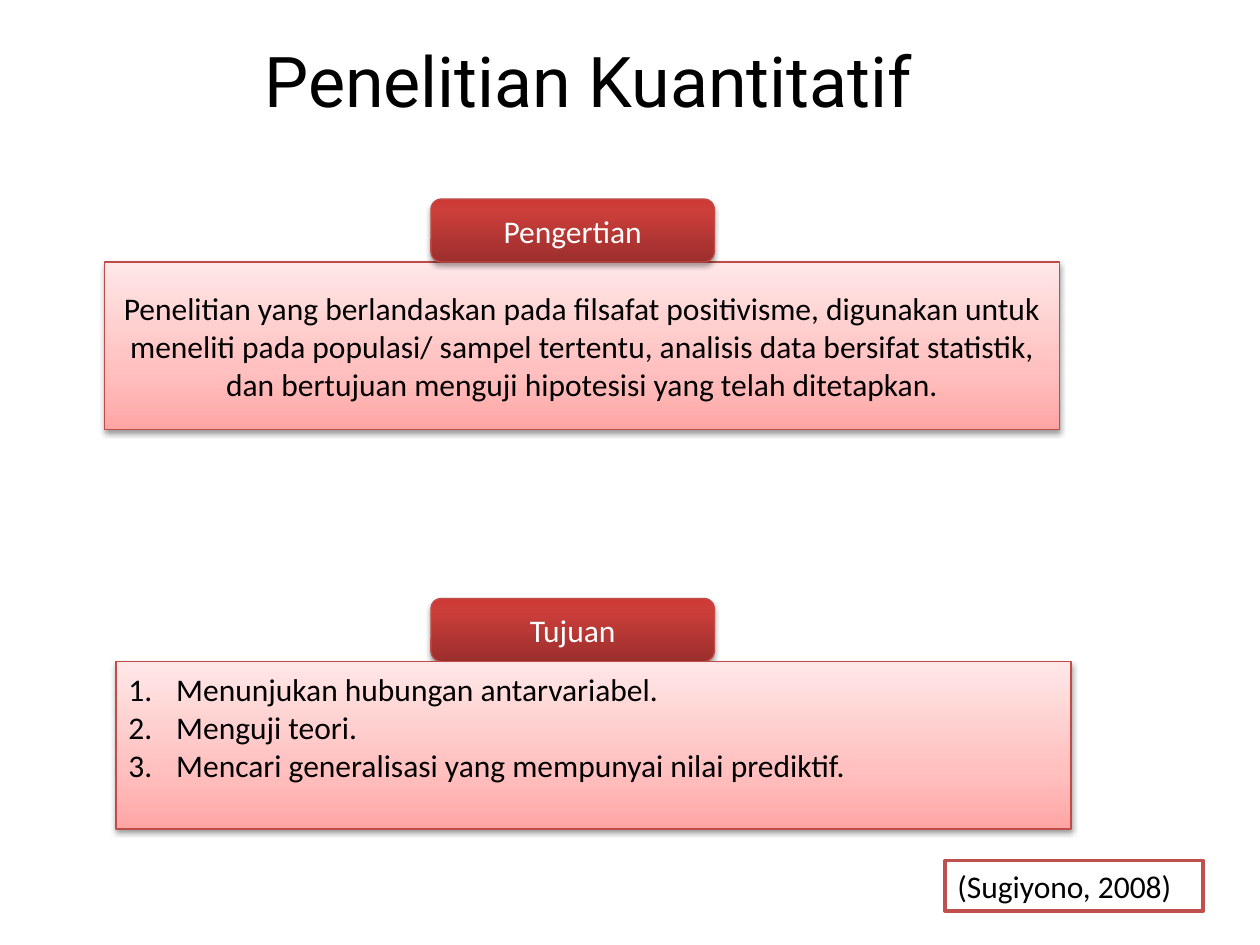
"""Build a slide on the meaning and aims of quantitative research."""
from lxml.etree import SubElement as Sub
from pptx import Presentation
from pptx.dml.color import RGBColor as RGB
from pptx.enum.shapes import MSO_SHAPE as Shape
from pptx.enum.text import MSO_ANCHOR as Anchor, MSO_AUTO_SIZE as Auto, PP_ALIGN as Align
from pptx.oxml.ns import qn
from pptx.util import Inches, Pt

HEX = {"black": "000000", "white": "FFFFFF", "edge": "BF4C48", "frame": "C0504D"}
BODY = {
    "kind": Shape.RECTANGLE, "size": (7.58, 1.33), "ink": "black",
    "stops": [(0, "FFA6A5"), (35, "FFC0BF"), (100, "FFE7E7")],
    "alpha": 38, "drop": 1.6,
}
TAB = {
    "kind": Shape.ROUNDED_RECTANGLE, "size": (2.25, 0.5), "ink": "white",
    "stops": [(0, "9C2F2D"), (80, "CB3E3A"), (100, "CE3B37")],
    "alpha": 35, "drop": 1.8,
}
TITLE = "Penelitian Kuantitatif"
CITE = "(Sugiyono, 2008)"
MEANING = (
    "Penelitian yang berlandaskan pada filsafat positivisme, digunakan untuk "
    "meneliti pada populasi/ sampel tertentu, analisis data bersifat statistik, "
    "dan bertujuan menguji hipotesisi yang telah ditetapkan."
)
AIMS = [
    "Menunjukan hubungan antarvariabel.",
    "Menguji teori.",
    "Mencari generalisasi yang mempunyai nilai prediktif.",
]
PANELS = [
    (BODY, 0.83, 2.08, [MEANING]),
    (TAB, 3.42, 4.75, ["Tujuan"]),
    (BODY, 0.92, 5.25, AIMS),
    (TAB, 3.42, 1.58, ["Pengertian"]),
]


def color(name):
    return RGB.from_string(HEX[name])


def style(para, face, size, ink):
    para.font.name = face
    para.font.size = Pt(size)
    para.font.color.rgb = color(ink)


def number(para):
    props = para._p.get_or_add_pPr()
    props.set("marL", str(Inches(0.38)))
    props.set("indent", str(-Inches(0.38)))
    Sub(props, qn("a:buFont"), typeface="+mj-lt")
    Sub(props, qn("a:buAutoNum"), type="arabicPeriod")


def shade(shape, stops):
    shape.fill.gradient()
    shape.fill.gradient_angle = 90
    group = shape.element.spPr.find(".//" + qn("a:gsLst"))
    group.clear()
    for place, tone in stops:
        stop = Sub(group, qn("a:gs"), pos=str(place * 1000))
        Sub(stop, qn("a:srgbClr"), val=tone)


def shadow(shape, alpha, drop):
    shape.shadow.inherit = False
    effects = shape.element.spPr.find(qn("a:effectLst"))
    outer = Sub(effects, qn("a:outerShdw"), blurRad=str(Pt(3.1)), dist=str(Pt(drop)),
                dir="5400000", rotWithShape="0")
    tone = Sub(outer, qn("a:srgbClr"), val=HEX["black"])
    Sub(tone, qn("a:alpha"), val=str(alpha * 1000))


def panel(slide, look, left, top, lines):
    shape = slide.shapes.add_shape(look["kind"], *map(Inches, (left, top, *look["size"])))
    shade(shape, look["stops"])
    shape.line.color.rgb = color("edge")
    shape.line.width = Pt(0.75)
    shadow(shape, look["alpha"], look["drop"])
    frame = shape.text_frame
    frame.word_wrap = True
    listed = len(lines) > 1
    frame.vertical_anchor = Anchor.TOP if listed else Anchor.MIDDLE
    if listed:
        frame.margin_top = Inches(0.07)
    frame.text = "\n".join(lines)
    for para in frame.paragraphs:
        para.alignment = Align.LEFT if listed else Align.CENTER
        if listed:
            number(para)
        style(para, "Calibri", 18, look["ink"])


def label(slide, box, text, face, size):
    shape = slide.shapes.add_textbox(*map(Inches, box))
    frame = shape.text_frame
    frame.word_wrap = False
    frame.auto_size = Auto.SHAPE_TO_FIT_TEXT
    frame.text = text
    style(frame.paragraphs[0], face, size, "black")
    return shape


def main():
    deck = Presentation()
    deck.slide_width, deck.slide_height = Inches(10), Inches(7.5)
    slide = deck.slides.add_slide(deck.slide_layouts[6])
    for item in PANELS:
        panel(slide, *item)
    label(slide, (2, 0.25, 5.6, 0.77), TITLE, "Roboto", 40)
    cite = label(slide, (7.5, 6.83, 2.05, 0.4), CITE, "Calibri", 18)
    cite.fill.solid()
    cite.fill.fore_color.rgb = color("white")
    cite.line.color.rgb = color("frame")
    cite.line.width = Pt(2)
    deck.save("out.pptx")


if __name__ == "__main__":
    main()
